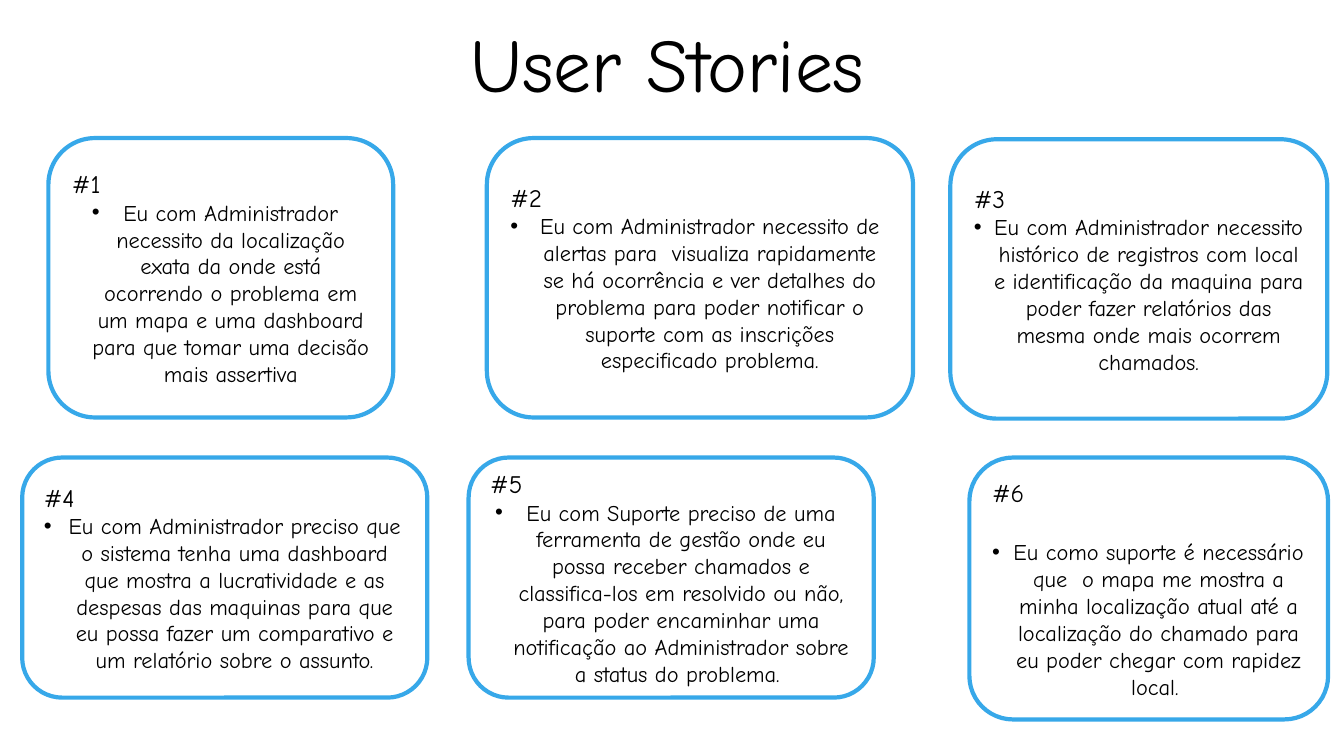
"""Build the User Stories slide with six numbered story cards."""
from dataclasses import dataclass

from lxml import etree
from pptx import Presentation
from pptx import util as u
from pptx.dml.color import RGBColor
from pptx.enum import shapes, text
from pptx.oxml.ns import qn

FONT = "Comic Neue"
BLACK = RGBColor(0x00, 0x00, 0x00)
WHITE = RGBColor(0xFF, 0xFF, 0xFF)
BLUE = RGBColor(0x37, 0xA8, 0xE9)
LEFT = text.PP_ALIGN.LEFT
CENTER = text.PP_ALIGN.CENTER
UPPER_TOP = 3.48
LOWER_TOP = 11.53
UPPER_HEIGHT = 7.04
LOWER_HEIGHT = 6.05


@dataclass(frozen=True)
class Card:
    """A user story and its box in centimetres."""
    left: float
    top: float
    width: float
    height: float
    story: str
    gap: float = 0


CARDS = [
    Card(1.22, UPPER_TOP, 8.69, UPPER_HEIGHT,
         "Eu com Administrador necessito da localização exata da onde está "
         "ocorrendo o problema em um mapa e uma dashboard para que tomar uma "
         "decisão mais assertiva"),
    Card(12.27, UPPER_TOP, 10.74, UPPER_HEIGHT,
         "Eu com Administrador necessito de alertas para  visualiza "
         "rapidamente se há ocorrência e ver detalhes do problema para poder "
         "notificar o suporte com as inscrições especificado problema."),
    Card(23.95, 3.51, 9.5, UPPER_HEIGHT,
         "Eu com Administrador necessito histórico de registros com local e "
         "identificação da maquina para poder fazer relatórios das mesma onde "
         "mais ocorrem chamados."),
    Card(0.56, LOWER_TOP, 10.21, LOWER_HEIGHT,
         "Eu com Administrador preciso que o sistema tenha uma dashboard que "
         "mostra a lucratividade e as despesas das maquinas para que eu possa "
         "fazer um comparativo e um relatório sobre o assunto."),
    Card(11.81, LOWER_TOP, 10.21, LOWER_HEIGHT,
         "Eu com Suporte preciso de uma ferramenta de gestão onde eu possa "
         "receber chamados e classifica-los em resolvido ou não, para poder "
         "encaminhar uma notificação ao Administrador sobre a status do "
         "problema. "),
    Card(24.43, LOWER_TOP, 9.04, 6.6,
         "Eu como suporte é necessário que  o mapa me mostra a minha "
         "localização atual até a localização do chamado para eu poder chegar "
         "com rapidez local. ", gap=22),
]


def write(paragraph, content: str, *, size: float, align=LEFT,
          line_spacing: float = 1.0, space_before: float = 0,
          bullet: bool = False) -> None:
    """Fill a paragraph with formatted text."""
    paragraph.alignment = align
    paragraph.line_spacing = line_spacing
    paragraph.space_before = u.Pt(space_before)
    run = paragraph.add_run()
    run.text = content
    run.font.name = FONT
    run.font.size = u.Pt(size)
    run.font.color.rgb = BLACK
    if bullet:
        properties = paragraph._p.get_or_add_pPr()
        properties.set("marL", str(u.Cm(0.5)))
        properties.set("indent", str(u.Cm(-0.79)))
        etree.SubElement(properties, qn("a:buFont"), typeface="Arial")
        etree.SubElement(properties, qn("a:buChar"), char="•")


def add_title(slide, content: str) -> None:
    """Add the slide title."""
    box = slide.shapes.add_textbox(u.Cm(1.96), u.Cm(0.51), u.Cm(30.35), u.Cm(2.36))
    frame = box.text_frame
    frame.word_wrap = True
    frame.vertical_anchor = text.MSO_ANCHOR.BOTTOM
    write(frame.paragraphs[0], content, size=54, align=CENTER, line_spacing=0.9)


def add_card(slide, number: int, card: Card) -> None:
    """Add a rounded card with its number and story."""
    shape = slide.shapes.add_shape(
        shapes.MSO_SHAPE.ROUNDED_RECTANGLE,
        u.Cm(card.left), u.Cm(card.top), u.Cm(card.width), u.Cm(card.height))
    shape.shadow.inherit = False
    shape.fill.solid()
    shape.fill.fore_color.rgb = WHITE
    shape.line.color.rgb = BLUE
    shape.line.width = u.Pt(3)
    frame = shape.text_frame
    frame.word_wrap = True
    frame.vertical_anchor = text.MSO_ANCHOR.MIDDLE
    write(frame.paragraphs[0], f"#{number}", size=18)
    write(frame.add_paragraph(), card.story, size=16, align=CENTER,
          space_before=card.gap, bullet=True)


def main() -> None:
    """Create and save the presentation."""
    presentation = Presentation()
    presentation.slide_width = u.Cm(33.87)
    presentation.slide_height = u.Cm(19.05)
    slide = presentation.slides.add_slide(presentation.slide_layouts[6])
    add_title(slide, "User Stories ")
    for number, card in enumerate(CARDS, start=1):
        add_card(slide, number, card)
    presentation.save("out.pptx")


main()
